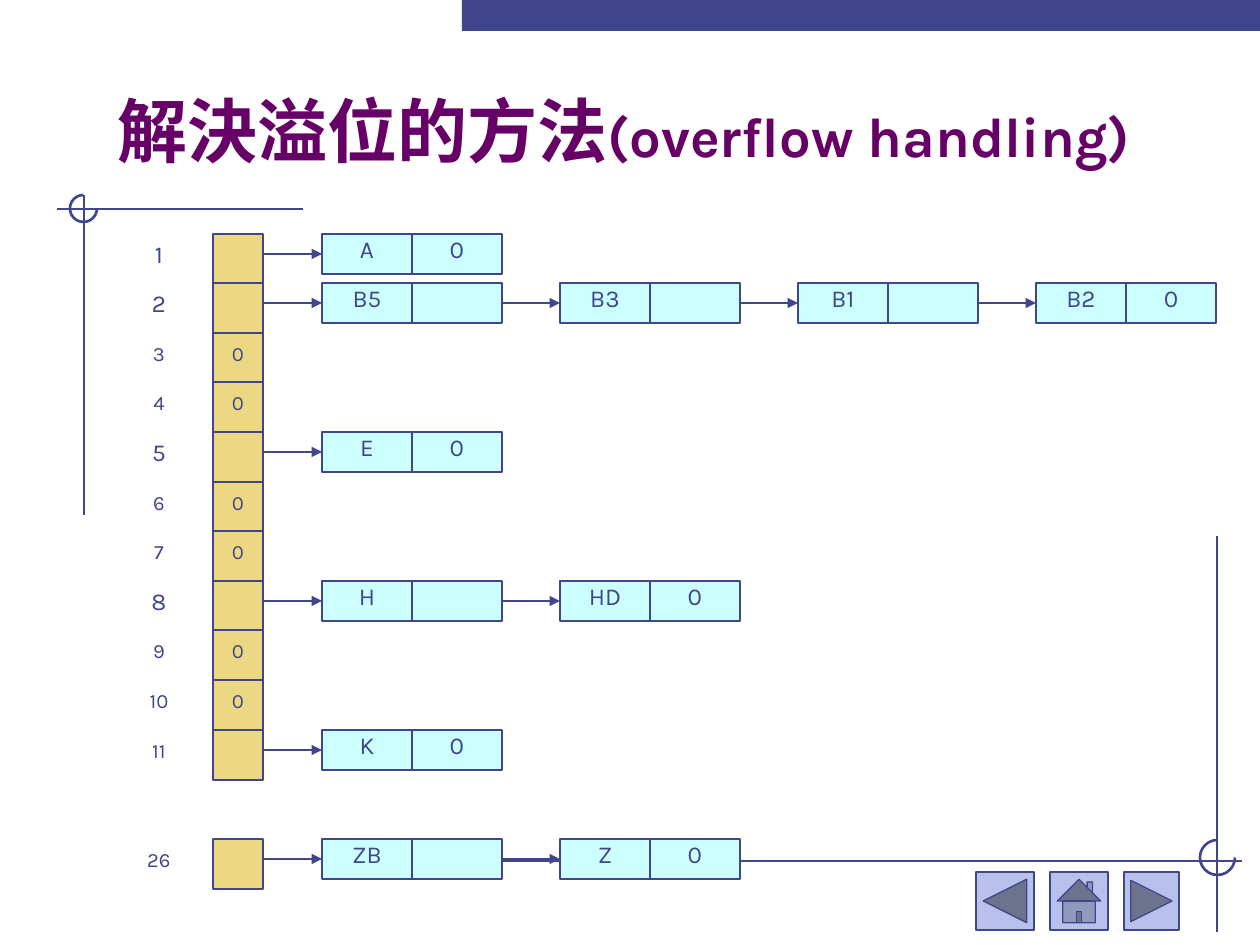
from dataclasses import dataclass

from lxml.etree import SubElement
from pptx import Presentation
from pptx.dml.color import RGBColor as RGB
from pptx.enum.shapes import MSO_CONNECTOR, MSO_SHAPE as SHAPE
from pptx.enum.text import MSO_ANCHOR as ANCHOR, MSO_AUTO_SIZE as AUTO_SIZE, PP_ALIGN as ALIGN
from pptx.oxml.ns import qn
from pptx.util import Pt

PX = 914400 / 126


@dataclass(frozen=True)
class Theme:
    font: str = "Karla"
    ink: RGB = RGB.from_string("40458C")
    title: RGB = RGB.from_string("660066")
    bucket: RGB = RGB.from_string("ECD882")
    node: RGB = RGB.from_string("CCFFFF")
    button: RGB = RGB.from_string("B7C1EB")
    title_sizes: tuple = (40, 32)
    large: int = 24
    small: int = 20
    thin: float = 0.75
    thick: float = 1.5


THEME = Theme()
presentation = Presentation()
presentation.slide_width, presentation.slide_height = round(1260 * PX), round(945 * PX)
slide = presentation.slides.add_slide(presentation.slide_layouts[5])


def add_box(bounds, fill=None, text="", size=THEME.large, kind=SHAPE.RECTANGLE):
    """Add a filled shape, or a plain text box when there is no fill; text is raised."""
    place = [round(value * PX) for value in bounds]
    if fill is None:
        shape = slide.shapes.add_textbox(*place)
    else:
        shape = slide.shapes.add_shape(kind, *place)
        shape.shadow.inherit = False
        shape.fill.solid()
        shape.fill.fore_color.rgb = fill
        shape.line.color.rgb = THEME.ink
        shape.line.width = Pt(THEME.thin)
    if text:
        frame = shape.text_frame
        frame.text = text
        frame.word_wrap = False
        frame.vertical_anchor = ANCHOR.MIDDLE
        paragraph = frame.paragraphs[0]
        paragraph.alignment = ALIGN.CENTER
        font = paragraph.runs[0].font
        font.name, font.size, font.color.rgb = THEME.font, Pt(size), THEME.ink
        paragraph.runs[0]._r.get_or_add_rPr().set("baseline", "30000")
    return shape


def add_line(*ends, arrow=False):
    line = slide.shapes.add_connector(MSO_CONNECTOR.STRAIGHT, *[round(value * PX) for value in ends])
    line.line.color.rgb = THEME.ink
    line.line.width = Pt(THEME.thick)
    properties = line._element.spPr
    if arrow:
        SubElement(properties.get_or_add_ln(), qn("a:tailEnd"), type="triangle")
    SubElement(properties, qn("a:effectLst"))
    return line


# Frame: top bar, two crosses with open circles, navigation buttons
bar = add_box((462, 0, 798, 31), THEME.ink)
bar.line.fill.background()
for ends in ((303, 209, 57, 209), (84, 195, 84, 515), (410, 861, 1242, 861), (1217, 536, 1217, 932)):
    add_line(*ends)
for left, top, diameter in ((70, 195, 27), (1200, 840, 35)):
    arc = add_box((left, top, diameter, diameter), THEME.ink, kind=SHAPE.ARC)
    arc.fill.background()
    arc.line.width = Pt(THEME.thick)
    # Angles 0 and 270 degrees, in the units of the adjustments
    arc.adjustments[0], arc.adjustments[1] = 0, 270 * 0.6
for left, width, kind in (
    (976, 58, SHAPE.ACTION_BUTTON_BACK_OR_PREVIOUS),
    (1050, 58, SHAPE.ACTION_BUTTON_HOME),
    (1124, 55, SHAPE.ACTION_BUTTON_FORWARD_OR_NEXT),
):
    add_box((left, 872, width, 58), THEME.button, kind=kind)

# Title
title = slide.shapes.title
title.left, title.top, title.width, title.height = [round(value * PX) for value in (105, 73, 1050, 105)]
title.text_frame.auto_size = AUTO_SIZE.NONE
title.text_frame.vertical_anchor = ANCHOR.BOTTOM
paragraph = title.text_frame.paragraphs[0]
paragraph.alignment = ALIGN.LEFT
for text, size in zip(("解決溢位的方法", "(overflow handling)"), THEME.title_sizes):
    run = paragraph.add_run()
    run.text = text
    run.font.name, run.font.size, run.font.bold = THEME.font, Pt(size), True
    run.font.color.rgb = THEME.title

# Hash table: each bucket holds 0 or points to a chain of nodes
LABEL_LEFT, BUCKET_LEFT, BUCKET_SIZE = 134, 213, 50
TABLE_TOP, LAST_TOP = 234, 839
NODE_LEFT, NODE_STEP, CELL_WIDTH, CELL_HEIGHT = 322, 238, 90, 40
chains = {1: ["A"], 2: ["B5", "B3", "B1", "B2"], 5: ["E"], 8: ["H", "HD"], 11: ["K"], 26: ["ZB", "Z"]}

for number in (*range(1, 12), 26):
    top = LAST_TOP if number == 26 else TABLE_TOP + (number - 1) * 496 // 10
    keys = chains.get(number, [])
    label_size = THEME.large if keys and number < 10 else THEME.small
    add_box((LABEL_LEFT, top, BUCKET_SIZE, BUCKET_SIZE), text=str(number), size=label_size)
    add_box((BUCKET_LEFT, top, BUCKET_SIZE, BUCKET_SIZE), THEME.bucket, "" if keys else "0", THEME.small)

    middle = top + CELL_HEIGHT // 2
    previous, start = None, BUCKET_LEFT + BUCKET_SIZE
    for index, key in enumerate(keys):
        left = NODE_LEFT + index * NODE_STEP
        link_left = left + CELL_WIDTH
        key_cell = add_box((left, top, CELL_WIDTH, CELL_HEIGHT), THEME.node, key)
        link_text = "0" if index == len(keys) - 1 else ""
        link_cell = add_box((link_left, top, CELL_WIDTH, CELL_HEIGHT), THEME.node, link_text)
        arrow = add_line(start, middle, left, middle, arrow=True)
        if previous is not None:
            arrow.begin_connect(previous, 3)
        arrow.end_connect(key_cell, 1)
        previous, start = link_cell, link_left + CELL_WIDTH

presentation.save("out.pptx")
